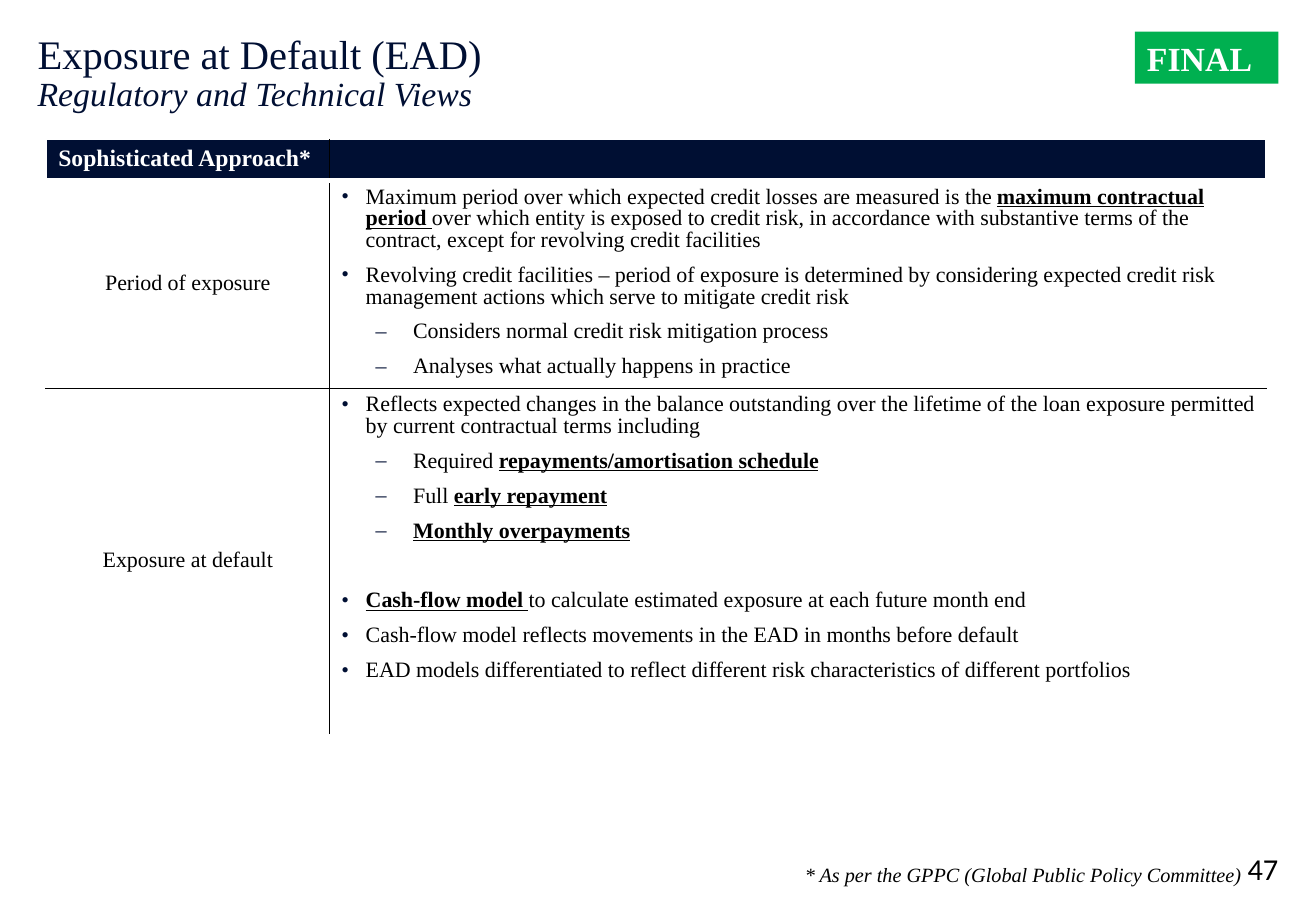
from typing import NamedTuple

import pptx
import pptx.dml.color
import pptx.enum.shapes
import pptx.enum.text
import pptx.oxml.ns
import pptx.util
from lxml import etree

PX = 9144  # 100 px to the inch
NAVY, WHITE, BLACK, GREEN = "000F33", "FFFFFF", "000000", "00B050"
SERIF = "Times New Roman"
ALIGN = pptx.enum.text.PP_ALIGN
ANCHOR = pptx.enum.text.MSO_ANCHOR
BODY_SIZE = 13
GAP = 7.8  # 60% of the body size


class Style(NamedTuple):
    size: float
    color: str = BLACK
    bold: bool = False
    italic: bool = False
    underline: bool = False
    font: str = SERIF


class Label(NamedTuple):
    box: tuple[int, int, int, int]
    lines: list[tuple[str, Style]]
    align: ALIGN = ALIGN.LEFT
    anchor: ANCHOR = ANCHOR.TOP
    inset: tuple[int, int] = (10, 5)
    spacing: float = 1.0
    fill: str | None = None


class Bullet(NamedTuple):
    runs: list[tuple[str, Style]]
    level: int = 0
    before: float = GAP


class Mark(NamedTuple):
    char: str
    left: int
    indent: int


class Border(NamedTuple):
    color: str = WHITE
    width: float = 1


PLAIN = Style(BODY_SIZE)
KEY = Style(BODY_SIZE, bold=True, underline=True)
HEAD = Style(14, WHITE, bold=True)
MARKS = [Mark("•", 20, -20), Mark("‒", 59, -31)]

LABELS = [
    Label((31, 28, 1020, 101),
          [("Exposure at Default (EAD)", Style(24, NAVY)),
           ("Regulatory and Technical Views", Style(20, NAVY, italic=True))],
          inset=(0, 0), spacing=0.9),
    Label((1004, 699, 48, 31), [("47", Style(18, font="Calibri"))],
          ALIGN.RIGHT, ANCHOR.BOTTOM, (0, 0)),
    Label((442, 705, 590, 31),
          [("* As per the GPPC (Global Public Policy Committee)", Style(12, italic=True))],
          ALIGN.RIGHT),
    Label((934, 26, 118, 43), [("FINAL", Style(20, WHITE, bold=True))], fill=GREEN),
]

COLUMNS = [233, 771]
ROWS = [31, 171, 285]
HEADING = "Sophisticated Approach*"
TOPICS = [
    ("Period of exposure", [
        Bullet([("Maximum period over which expected credit losses are measured is the ", PLAIN),
                ("maximum contractual period ", KEY),
                ("over which entity is exposed to credit risk, in accordance with substantive "
                 "terms of the contract, except for revolving credit facilities", PLAIN)]),
        Bullet([("Revolving credit facilities – period of exposure is determined by considering "
                 "expected credit risk management actions which serve to mitigate credit risk",
                 PLAIN)]),
        Bullet([("Considers normal credit risk mitigation process", PLAIN)], 1),
        Bullet([("Analyses what actually happens in practice", PLAIN)], 1),
    ]),
    ("Exposure at default", [
        Bullet([("Reflects expected changes in the balance outstanding over the lifetime of the "
                 "loan exposure permitted by current contractual terms including", PLAIN)]),
        Bullet([("Required ", PLAIN), ("repayments/amortisation schedule", KEY)], 1),
        Bullet([("Full ", PLAIN), ("early repayment", KEY)], 1),
        Bullet([("Monthly overpayments", KEY)], 1),
        Bullet([("Cash-flow model ", KEY),
                ("to calculate estimated exposure at each future month end", PLAIN)],
               before=28.5),
        Bullet([("Cash-flow model reflects movements in the EAD in months before default", PLAIN)]),
        Bullet([("EAD models differentiated to reflect different risk characteristics of "
                 "different portfolios", PLAIN)]),
    ]),
]


def rgb(color: str) -> pptx.dml.color.RGBColor:
    return pptx.dml.color.RGBColor.from_string(color)


def add_xml(parent, tag: str, **attrs: str):
    return etree.SubElement(parent, pptx.oxml.ns.qn(tag), attrs)


def add_run(p, text: str, style: Style) -> None:
    r = p.add_run()
    r.text = text
    r.font.name = style.font
    r.font.size = pptx.util.Pt(style.size)
    r.font.bold = style.bold
    r.font.italic = style.italic
    r.font.underline = style.underline
    r.font.color.rgb = rgb(style.color)


def add_label(slide, label: Label) -> None:
    box = [v * PX for v in label.box]
    if label.fill:
        sp = slide.shapes.add_shape(pptx.enum.shapes.MSO_SHAPE.RECTANGLE, *box)
        sp.shadow.inherit = False
        sp.fill.solid()
        sp.fill.fore_color.rgb = rgb(label.fill)
        sp.line.fill.background()
    else:
        sp = slide.shapes.add_textbox(*box)
    tf = sp.text_frame
    tf.word_wrap = True
    tf.vertical_anchor = label.anchor
    tf.margin_left = tf.margin_right = label.inset[0] * PX
    tf.margin_top = tf.margin_bottom = label.inset[1] * PX
    p = tf.paragraphs[0]
    p.alignment = label.align
    p.line_spacing = label.spacing
    for i, (text, style) in enumerate(label.lines):
        if i:
            p.add_line_break()
        add_run(p, text, style)


def add_bullets(tf, bullets: list[Bullet]) -> None:
    for i, bullet in enumerate(bullets):
        p = tf.add_paragraph() if i else tf.paragraphs[0]
        p.level = bullet.level
        p.line_spacing = 0.9
        if i:
            p.space_before = pptx.util.Pt(bullet.before)
        mark = MARKS[bullet.level]
        pPr = p._p.get_or_add_pPr()
        pPr.set("marL", str(mark.left * PX))
        pPr.set("indent", str(mark.indent * PX))
        add_xml(add_xml(pPr, "a:buClr"), "a:srgbClr", val=NAVY)
        add_xml(pPr, "a:buFont", typeface=SERIF)
        add_xml(pPr, "a:buChar", char=mark.char)
        for text, style in bullet.runs:
            add_run(p, text, style)


def style_cell(cell, fill: str, borders: dict[str, Border]) -> None:
    """Borders go before the fill, in the order left, right, top, bottom."""
    tcPr = cell._tc.get_or_add_tcPr()
    for side, border in borders.items():
        ln = add_xml(tcPr, f"a:ln{side}", w=str(pptx.util.Pt(border.width)))
        add_xml(add_xml(ln, "a:solidFill"), "a:srgbClr", val=border.color)
    cell.fill.solid()
    cell.fill.fore_color.rgb = rgb(fill)


def add_approach_table(slide) -> None:
    table = slide.shapes.add_table(len(ROWS), len(COLUMNS), 38 * PX, 115 * PX,
                                   sum(COLUMNS) * PX, sum(ROWS) * PX).table
    table.horz_banding = table.first_row = False
    for column, width in zip(table.columns, COLUMNS):
        column.width = width * PX
    for row, height in zip(table.rows, ROWS):
        row.height = height * PX
    white, black = Border(), Border(BLACK)
    bottoms = [Border(WHITE, 3), black, white]
    tops = [white, white, black]
    for y in range(len(ROWS)):
        for x in range(len(COLUMNS)):
            style_cell(table.cell(y, x), WHITE if y else NAVY,
                       {"L": black if x else white, "R": white if x else black,
                        "T": tops[y], "B": bottoms[y]})
    add_run(table.cell(0, 0).text_frame.paragraphs[0], HEADING, HEAD)
    empty = table.cell(0, 1).text_frame.paragraphs[0]
    add_xml(empty._p, "a:endParaRPr", sz=str(HEAD.size * 100))
    for y, (topic, bullets) in enumerate(TOPICS, 1):
        cell = table.cell(y, 0)
        cell.vertical_anchor = ANCHOR.MIDDLE
        p = cell.text_frame.paragraphs[0]
        p.alignment = ALIGN.CENTER
        p.line_spacing = 0.9
        add_run(p, topic, PLAIN)
        add_bullets(table.cell(y, 1).text_frame, bullets)


def main() -> None:
    prs = pptx.Presentation()
    prs.slide_width, prs.slide_height = 1083 * PX, 750 * PX
    slide = prs.slides.add_slide(prs.slide_layouts[6])
    add_approach_table(slide)
    for label in LABELS:
        add_label(slide, label)
    prs.save("out.pptx")


if __name__ == "__main__":
    main()
